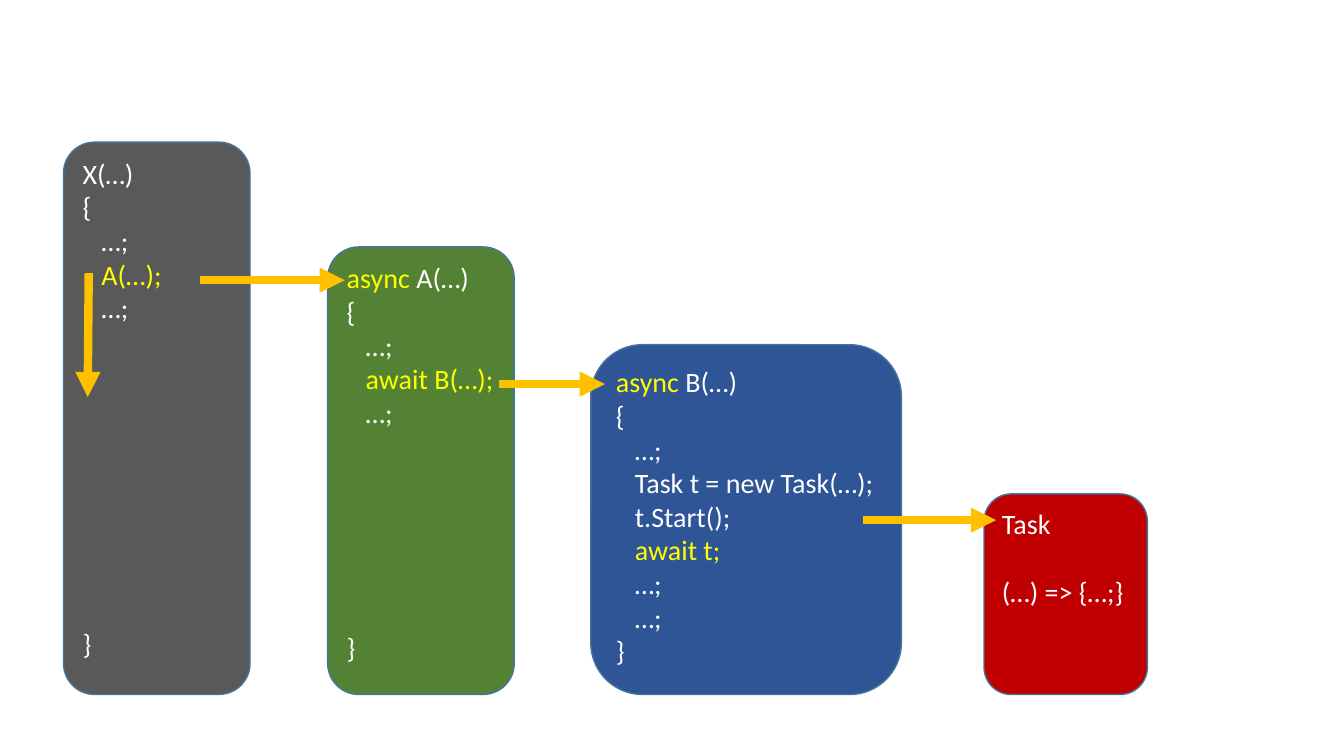
from dataclasses import dataclass

from pptx import Presentation
from pptx.dml.color import RGBColor
from pptx.enum import shapes, text
from pptx.oxml import ns
from pptx.util import Inches, Pt
from lxml import etree


@dataclass(frozen=True)
class Theme:
    font: str = "Calibri"
    size: int = 20
    line_pitch: int = 24
    outline_width: int = 1
    arrow_width: int = 6
    code: str = "FFFFFF"
    highlight: str = "FFFF00"
    outline: str = "43739E"
    arrow: str = "FFC000"
    caller: str = "595959"
    method_a: str = "548235"
    method_b: str = "2F5597"
    task: str = "C00000"


THEME = Theme()
BOX_BOTTOM = 6.89
MARK = "*"

# fmt: off
METHODS = [
    (0.63, 1.41, 1.85, THEME.caller, 9,
     ["X(…)", "{", "   …;", "*   A(…);*", "   …;", "}"]),
    (3.25, 2.45, 1.85, THEME.method_a, 6,
     ["*async *A(…)", "{", "   …;", "   *await B(…);*", "   …;", "}"]),
    (5.86, 3.42, 3.08, THEME.method_b, 0,
     ["*async *B(…)", "{", "   …;", "   Task t = new Task(…);", "   t.Start();",
      "   *await t;*", "   …;", "   …;", "}"]),
    (9.76, 4.9, 1.62, THEME.task, 1, ["Task", "(…) => {…;}"]),
]
# fmt: on

ARROWS = [
    (0.88, 2.71, 0.87, 3.94),
    (1.98, 2.78, 3.42, 2.78),
    (4.95, 3.81, 6, 3.81),
    (8.56, 5.16, 9.88, 5.16),
]


def color(value):
    return RGBColor.from_string(value)


def write_code_line(para, line):
    para.alignment = text.PP_ALIGN.LEFT
    para.font.name = THEME.font
    para.font.size = Pt(THEME.size)
    for index, part in enumerate(line.split(MARK)):
        if part:
            span = para.add_run()
            span.text = part
            span.font.color.rgb = color(THEME.highlight if index % 2 else THEME.code)


def add_method(page, left, top, width, fill, gap_lines, lines):
    box = page.shapes.add_shape(
        shapes.MSO_SHAPE.ROUNDED_RECTANGLE,
        Inches(left), Inches(top), Inches(width), Inches(BOX_BOTTOM - top),
    )
    box.shadow.inherit = False
    box.fill.solid()
    box.fill.fore_color.rgb = color(fill)
    box.line.color.rgb = color(THEME.outline)
    box.line.width = Pt(THEME.outline_width)
    frame = box.text_frame
    frame.word_wrap = True
    frame.vertical_anchor = text.MSO_ANCHOR.TOP
    for index, line in enumerate(lines):
        para = frame.add_paragraph() if index else frame.paragraphs[0]
        write_code_line(para, line)
    if gap_lines:
        para.space_before = Pt(gap_lines * THEME.line_pitch)


def add_arrow(page, *ends):
    arrow = page.shapes.add_connector(
        shapes.MSO_CONNECTOR.STRAIGHT, *(Inches(end) for end in ends)
    )
    arrow.line.color.rgb = color(THEME.arrow)
    arrow.line.width = Pt(THEME.arrow_width)
    etree.SubElement(arrow.line._get_or_add_ln(), ns.qn("a:tailEnd"), type="triangle")
    etree.SubElement(arrow._element.spPr, ns.qn("a:effectLst"))


def main():
    deck = Presentation()
    deck.slide_width = Inches(13.33)
    deck.slide_height = Inches(7.5)
    page = deck.slides.add_slide(deck.slide_layouts[6])
    for method in METHODS:
        add_method(page, *method)
    for ends in ARROWS:
        add_arrow(page, *ends)
    deck.save("out.pptx")


if __name__ == "__main__":
    main()
